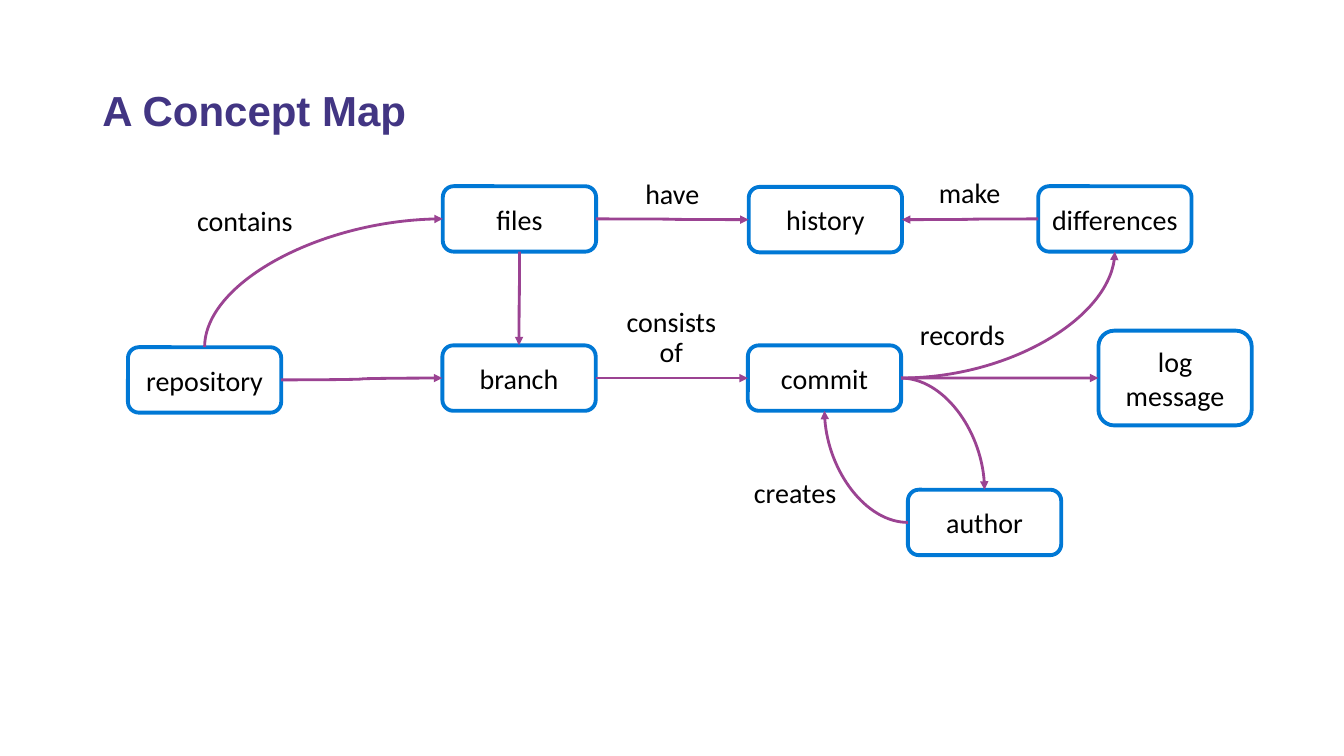
from dataclasses import dataclass

import lxml.etree
import pptx
import pptx.dml.color
import pptx.enum.shapes
import pptx.enum.text
import pptx.oxml.ns
import pptx.util

Pt = pptx.util.Pt
qn = pptx.oxml.ns.qn

PURPLE, BLUE, PLUM = "423583", "0078D5", "9B4392"
BLACK, WHITE = "000000", "FFFFFF"
CONCEPT_WIDTH, CONCEPT_HEIGHT = 109.5, 46.75
LABEL_WIDTH, LABEL_HEIGHT = 87.8, 30.2
TOP, LEFT, BOTTOM, RIGHT = range(4)  # connection sites of a rectangle


@dataclass
class Concept:
    text: str
    left: float
    top: float
    height: float = CONCEPT_HEIGHT

    def site(self, side: int) -> tuple[float, float]:
        across, down = {TOP: (0.5, 0), LEFT: (0, 0.5), BOTTOM: (0.5, 1), RIGHT: (1, 0.5)}[side]
        return self.left + across * CONCEPT_WIDTH, self.top + down * self.height


@dataclass
class Relation:
    source: str
    source_side: int
    target: str
    target_side: int


@dataclass
class Label:
    text: str
    left: float
    top: float


CONCEPTS = [
    Concept("repository", 91.4, 248),
    Concept("files", 316.3, 133),
    Concept("branch", 316, 246.7),
    Concept("commit", 534.2, 246.7),
    Concept("log message", 784.6, 236.2, 67.7),
    Concept("history", 534.8, 133.5),
    Concept("differences", 741.6, 133),
    Concept("author", 648.5, 349.8),
]

RELATIONS = [
    Relation("repository", TOP, "files", LEFT),
    Relation("repository", RIGHT, "branch", LEFT),
    Relation("files", BOTTOM, "branch", TOP),
    Relation("files", RIGHT, "history", LEFT),
    Relation("differences", LEFT, "history", RIGHT),
    Relation("branch", RIGHT, "commit", LEFT),
    Relation("commit", RIGHT, "differences", BOTTOM),
    Relation("commit", RIGHT, "log message", LEFT),
    Relation("commit", RIGHT, "author", TOP),
    Relation("author", LEFT, "commit", BOTTOM),
]

LABELS = [
    Label("contains", 131, 144.7),
    Label("consists of", 435.6, 216.4),
    Label("records", 643.5, 226),
    Label("have", 436.3, 125),
    Label("make", 648.7, 124.4),
    Label("creates", 524, 339),
]


def colour(value: str) -> pptx.dml.color.RGBColor:
    return pptx.dml.color.RGBColor.from_string(value)


def write(shape, text: str, size: float, font: str, text_colour: str, bold: bool = False):
    """Fill the shape's first paragraph with one run and return the paragraph."""
    shape.text_frame.word_wrap = True
    paragraph = shape.text_frame.paragraphs[0]
    run = paragraph.add_run()
    run.text = text
    run.font.size = Pt(size)
    run.font.name = font
    run.font.bold = bold
    run.font.color.rgb = colour(text_colour)
    return paragraph


def draw_title(slide, text: str) -> None:
    shape = slide.shapes.add_textbox(Pt(66), Pt(28.8), Pt(828), Pt(104.4))
    shape.text_frame.vertical_anchor = pptx.enum.text.MSO_ANCHOR.MIDDLE
    write(shape, text, 30, "Arial", PURPLE, bold=True).line_spacing = 0.9


def draw_concept(slide, concept: Concept):
    shape = slide.shapes.add_shape(
        pptx.enum.shapes.MSO_SHAPE.ROUNDED_RECTANGLE,
        Pt(concept.left), Pt(concept.top), Pt(CONCEPT_WIDTH), Pt(concept.height))
    shape.shadow.inherit = False
    shape.fill.solid()
    shape.fill.fore_color.rgb = colour(WHITE)
    shape.line.color.rgb = colour(BLUE)
    shape.line.width = Pt(2.75)
    shape.text_frame.vertical_anchor = pptx.enum.text.MSO_ANCHOR.MIDDLE
    paragraph = write(shape, concept.text, 20, "Calibri", BLACK)
    paragraph.alignment = pptx.enum.text.PP_ALIGN.CENTER
    return shape


def draw_label(slide, label: Label) -> None:
    shape = slide.shapes.add_textbox(
        Pt(label.left), Pt(label.top), Pt(LABEL_WIDTH), Pt(LABEL_HEIGHT))
    paragraph = write(shape, label.text, 20, "Calibri", BLACK)
    paragraph.alignment = pptx.enum.text.PP_ALIGN.CENTER
    paragraph.line_spacing = 0.9
    paragraph.space_before = Pt(7.5)


def draw_relation(slide, relation: Relation, concepts: dict, shapes: dict) -> None:
    begin_x, begin_y = concepts[relation.source].site(relation.source_side)
    end_x, end_y = concepts[relation.target].site(relation.target_side)
    connector = slide.shapes.add_connector(
        pptx.enum.shapes.MSO_CONNECTOR.CURVE, Pt(begin_x), Pt(begin_y), Pt(end_x), Pt(end_y))
    connector.begin_connect(shapes[relation.source], relation.source_side)
    connector.end_connect(shapes[relation.target], relation.target_side)
    connector.line.color.rgb = colour(PLUM)
    connector.line.width = Pt(2)

    # A curve that leaves vertically is a horizontal one turned by 90 degrees
    vertical = relation.source_side in (TOP, BOTTOM)
    along, across = end_x - begin_x, end_y - begin_y
    if vertical:
        along, across = across, -along
    width, height = abs(along), abs(across)
    connector.left = Pt((begin_x + end_x - width) / 2)
    connector.top = Pt((begin_y + end_y - height) / 2)
    connector.width, connector.height = Pt(width), Pt(height)
    properties = connector._element.spPr
    transform = properties.find(qn("a:xfrm"))
    transform.set("rot", "5400000" if vertical else "0")
    transform.set("flipH", str(int(along < 0)))
    transform.set("flipV", str(int(across < 0)))

    # Quarter curve between perpendicular sides, S-curve between facing ones
    perpendicular = (relation.source_side + relation.target_side) % 2 == 1
    preset = "curvedConnector2" if perpendicular else "curvedConnector3"
    properties.find(qn("a:prstGeom")).set("prst", preset)

    # Arrowhead, and no shadow
    lxml.etree.SubElement(properties.find(qn("a:ln")), qn("a:tailEnd"), type="triangle")
    lxml.etree.SubElement(properties, qn("a:effectLst"))


def main() -> None:
    presentation = pptx.Presentation()
    presentation.slide_width, presentation.slide_height = Pt(960), Pt(540)
    slide = presentation.slides.add_slide(presentation.slide_layouts[6])

    draw_title(slide, "A Concept Map")
    concepts = {concept.text: concept for concept in CONCEPTS}
    shapes = {concept.text: draw_concept(slide, concept) for concept in CONCEPTS}
    for relation in RELATIONS:
        draw_relation(slide, relation, concepts, shapes)
    for label in LABELS:
        draw_label(slide, label)

    presentation.save("out.pptx")


if __name__ == "__main__":
    main()
